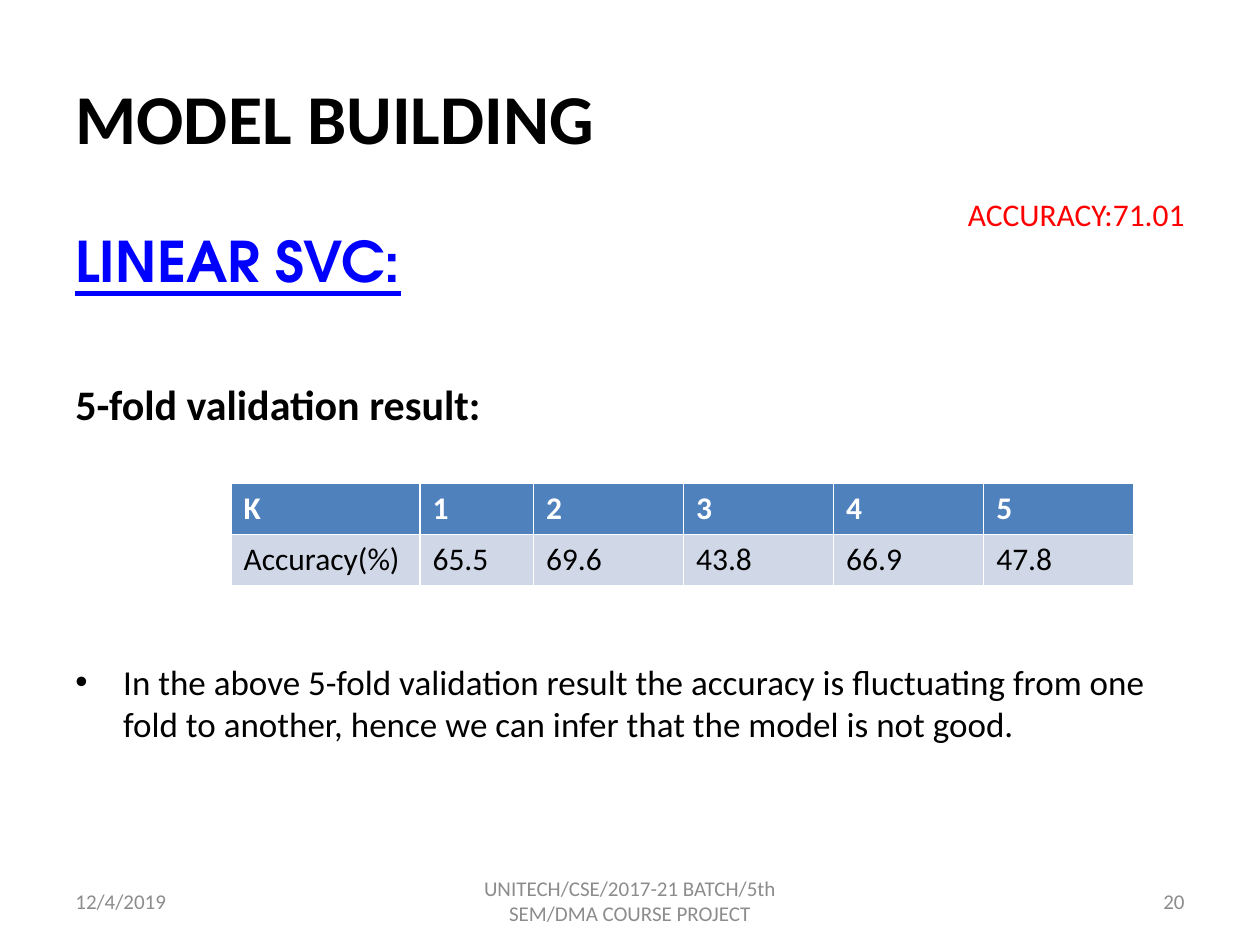
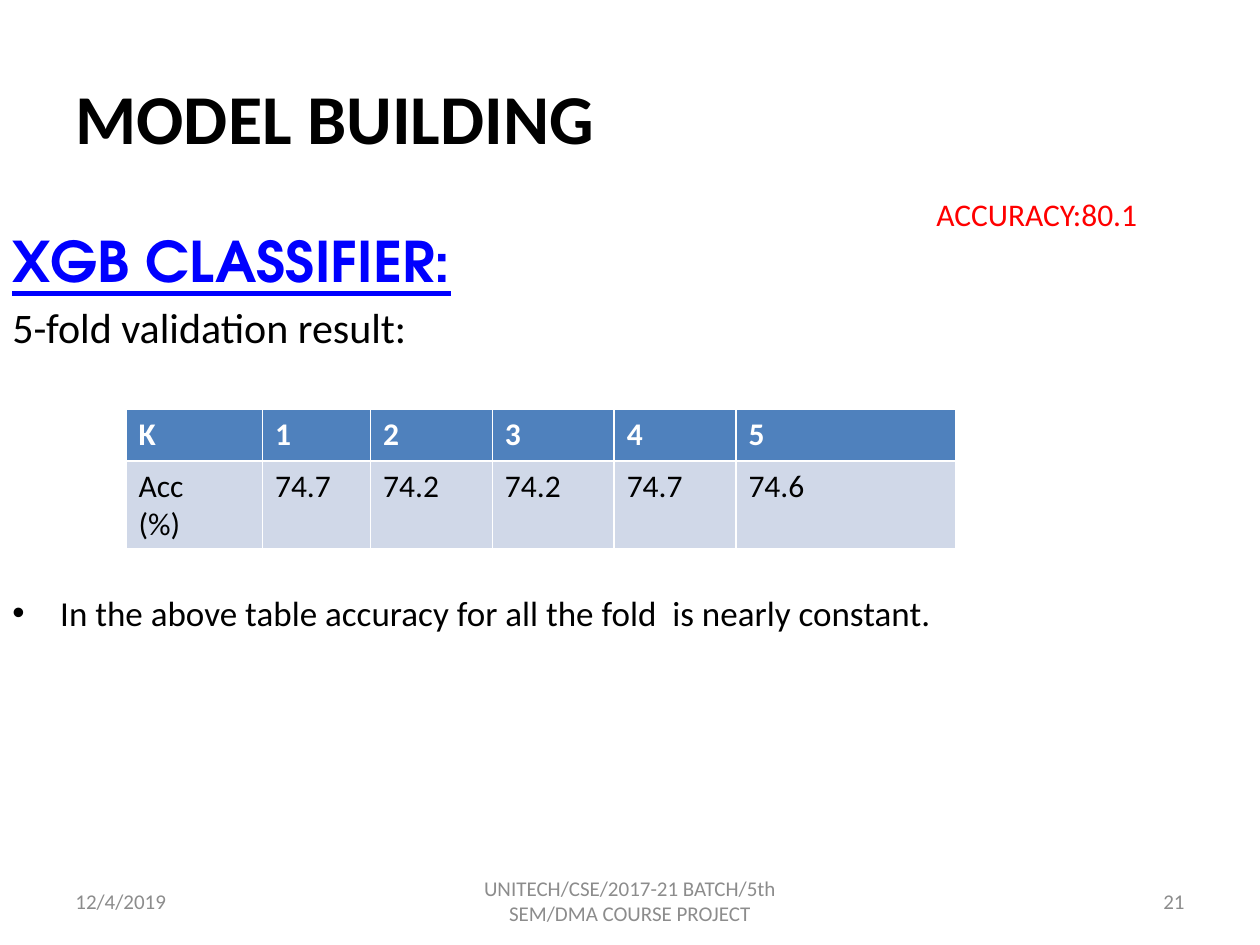
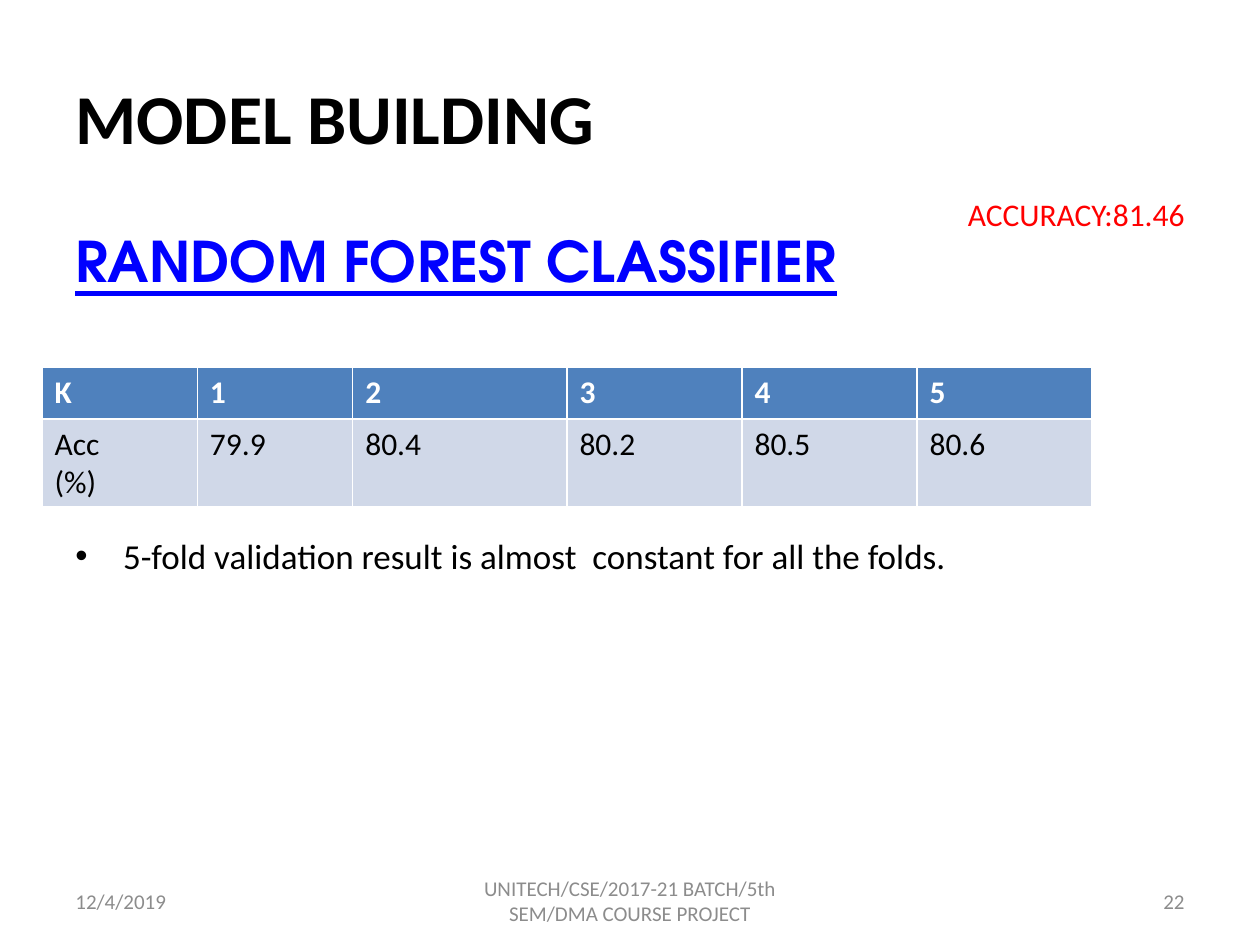
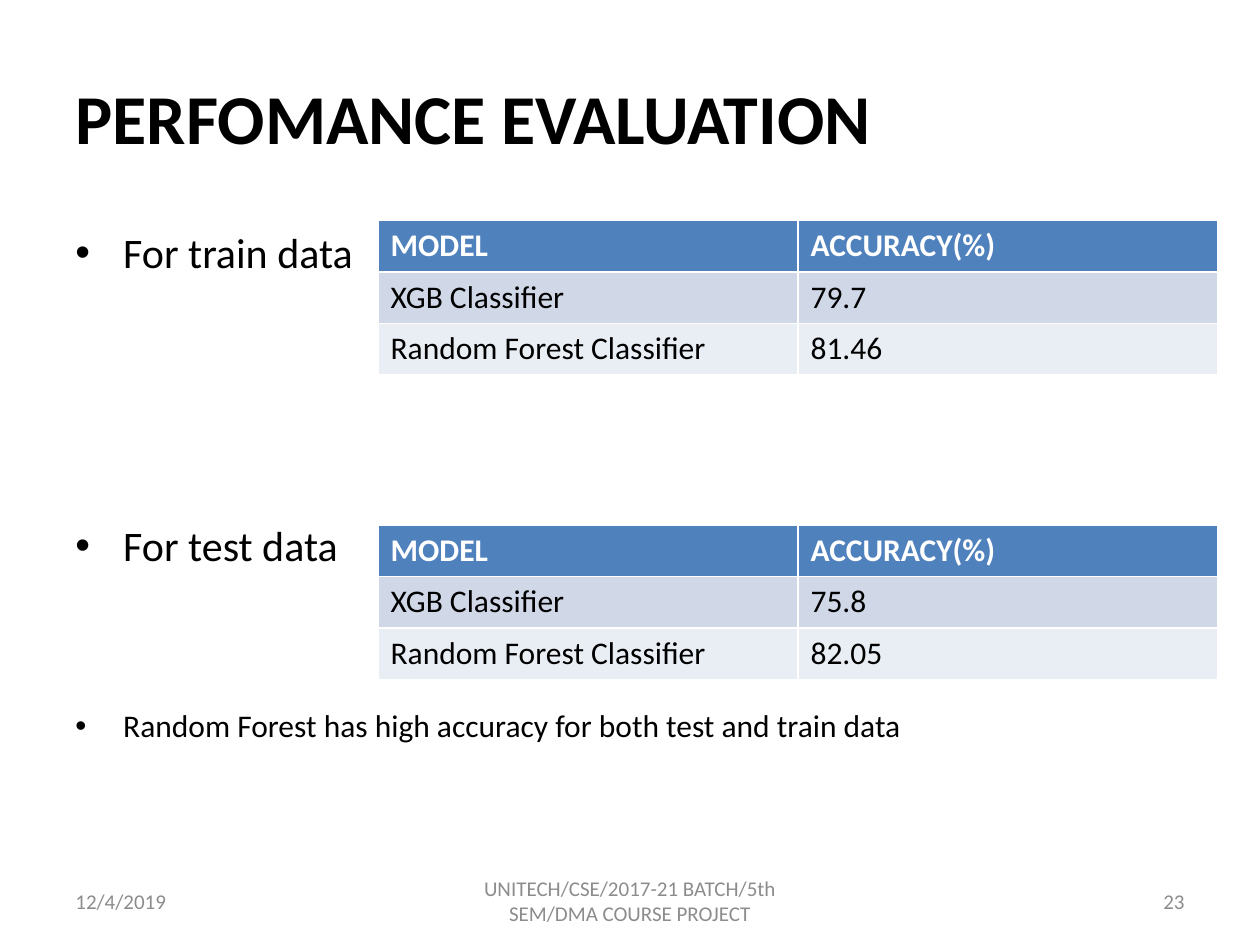
from lxml import etree
from pptx import Presentation
from pptx.dml.color import RGBColor
from pptx.enum.text import MSO_ANCHOR, MSO_AUTO_SIZE, PP_ALIGN
from pptx.oxml.ns import qn
from pptx.util import Inches, Pt

LEFT, CENTER, RIGHT = PP_ALIGN.LEFT, PP_ALIGN.CENTER, PP_ALIGN.RIGHT
JUSTIFY = PP_ALIGN.JUSTIFY
TOP, MIDDLE = MSO_ANCHOR.TOP, MSO_ANCHOR.MIDDLE
NO_FIT, GROW = MSO_AUTO_SIZE.NONE, MSO_AUTO_SIZE.SHAPE_TO_FIT_TEXT

# The grid has 120 columns and 90 rows on a 10 x 7.5 inch slide.
COLS, ROWS = 120, 90
TITLE_ONLY = 5
SANS, HEAD = "Calibri", "TeX Gyre Adventor"
BLACK, WHITE, BLUE, RED, GREY = "000000", "FFFFFF", "0000FF", "FF0000", "8C8C8C"
HEADER, BANDS = "4F81BD", ("D0D8E8", "E9EDF4")

TITLE_BOX = (6, 3.6, 108, 15)
BODY_BOX = (6, 21, 108, 59.4)
WIDE_BOX = (0, 21, 120, 60)
FOOT_TOP, FOOT_HIGH = 83.4, 4.8
ROW, LINE = 4.9, 3.5
FOLDS = ["K", "1", "2", "3", "4", "5"]


def grid(n):
    return Inches(n * 10 / COLS)


def color(code):
    return RGBColor.from_string(code)


def style(para, size, code=BLACK, bold=False, font=SANS, line=False):
    for run in para.runs:
        face = run.font
        face.name, face.size = font, Pt(size)
        face.bold, face.underline = bold, line
        face.color.rgb = color(code)


def place(shape, box):
    shape.left, shape.top, shape.width, shape.height = map(grid, box)


def label(slide, box, text, size, code, align=LEFT, anchor=TOP, fit=NO_FIT):
    frame = slide.shapes.add_textbox(*map(grid, box)).text_frame
    frame.word_wrap = True
    frame.auto_size = fit
    frame.vertical_anchor = anchor
    frame.text = text
    para = frame.paragraphs[0]
    para.alignment = align
    style(para, size, code)


def base(deck, title, page):
    """Add a slide with its title and footer."""
    slide = deck.slides.add_slide(deck.slide_layouts[TITLE_ONLY])
    head = slide.shapes.title
    place(head, TITLE_BOX)
    frame = head.text_frame
    frame.text = title
    frame.auto_size = NO_FIT
    frame.vertical_anchor = MIDDLE
    frame.paragraphs[0].alignment = JUSTIFY
    style(frame.paragraphs[0], 40, bold=True)

    for left, width, text, align in (
        (6, 28, "12/4/2019", LEFT),
        (41, 38, "UNITECH/CSE/2017-21 BATCH/5th SEM/DMA COURSE PROJECT", CENTER),
        (86, 28, str(page), RIGHT),
    ):
        label(slide, (left, FOOT_TOP, width, FOOT_HIGH), text, 12, GREY, align, MIDDLE)
    return slide


def heading(text):
    return text, 0, False, dict(size=32, code=BLUE, bold=True, font=HEAD, line=True)


def plain(text, gap, bold=False):
    return text, gap, False, dict(size=24, bold=bold)


def bullet(text, gap, size=20):
    return text, gap, True, dict(size=size)


def body(slide, box, items):
    frame = slide.shapes.add_textbox(*map(grid, box)).text_frame
    frame.word_wrap = True
    frame.text = "\n".join(item[0] for item in items)
    for para, (_, gap, dot, look) in zip(frame.paragraphs, items):
        para.space_before = Pt(gap)
        style(para, **look)
        props = para._p.get_or_add_pPr()
        props.set("marL", str(Inches(0.38)))
        props.set("indent", str(-Inches(0.38)))
        if dot:
            etree.SubElement(props, qn("a:buFont")).set("typeface", "Arial")
            etree.SubElement(props, qn("a:buChar")).set("char", "•")


def table(slide, left, top, widths, rows):
    """Draw rows with a header; a row grows with the lines in its cells."""
    highs = [ROW + LINE * max(text.count("\n") for text in row) for row in rows]
    box = (left, top, sum(widths), sum(highs))
    grid_table = slide.shapes.add_table(len(rows), len(widths), *map(grid, box)).table
    for col, width in zip(grid_table.columns, widths):
        col.width = grid(width)
    for i, (row, high) in enumerate(zip(rows, highs)):
        grid_table.rows[i].height = grid(high)
        top_row = i == 0
        for j, text in enumerate(row):
            cell = grid_table.cell(i, j)
            cell.text = text
            cell.fill.solid()
            cell.fill.fore_color.rgb = color(HEADER if top_row else BANDS[(i - 1) % 2])
            for para in cell.text_frame.paragraphs:
                style(para, 18, WHITE if top_row else BLACK, bold=top_row)


def model(deck, page, score, score_left, box, items, spot, widths, folds):
    """Add a slide on one model and its accuracy in each fold."""
    slide = base(deck, "MODEL BUILDING", page)
    body(slide, box, items)
    label(slide, (score_left, 18, 29, 4.8), "ACCURACY:" + score, 18, RED, fit=GROW)
    table(slide, *spot, widths, [FOLDS, folds])


def results(deck, page):
    slide = base(deck, "PERFOMANCE EVALUATION", page)
    body(slide, BODY_BOX, [
        bullet("For train data", 0, 24),
        bullet("For test data", 138.5, 24),
        bullet("Random Forest has high accuracy for both test and train data", 78, 18),
    ])
    for top, boost, forest in ((21, "79.7", "81.46"), (50, "75.8", "82.05")):
        table(slide, 36, top, (40, 40), [
            ["MODEL", "ACCURACY(%)"],
            ["XGB Classifier", boost],
            ["Random Forest Classifier", forest],
        ])


def main():
    deck = Presentation()
    deck.slide_width, deck.slide_height = grid(COLS), grid(ROWS)
    model(
        deck, 20, "71.01", 91, BODY_BOX,
        [
            heading("LINEAR SVC:"),
            plain("5-fold validation result:", 48.5, bold=True),
            bullet("In the above 5-fold validation result the accuracy is fluctuating "
                   "from one fold to another, hence we can infer that the model is "
                   "not good.", 132),
        ],
        (22, 46), (18, 10.8) + (14.3,) * 4,
        ["Accuracy(%)", "65.5", "69.6", "43.8", "66.9", "47.8"],
    )
    model(
        deck, 21, "80.1", 88, WIDE_BOX,
        [
            heading("XGB CLASSIFIER:"),
            plain("5-fold validation result:", 4.5),
            bullet("In the above table accuracy for all the fold  is nearly constant.", 137),
        ],
        (12, 39), (13, 10.3) + (11.6,) * 3 + (20.9,),
        ["Acc\n(%)", "74.7", "74.2", "74.2", "74.7", "74.6"],
    )
    model(
        deck, 22, "81.46", 91, BODY_BOX,
        [
            heading("RANDOM FOREST CLASSIFIER"),
            bullet("5-fold validation result is almost  constant for all the folds.", 137.5),
        ],
        (4, 35), (14.8, 14.8, 20.4) + (16.67,) * 3,
        ["Acc\n(%)", "79.9", "80.4", "80.2", "80.5", "80.6"],
    )
    results(deck, 23)
    deck.save("out.pptx")


if __name__ == "__main__":
    main()
